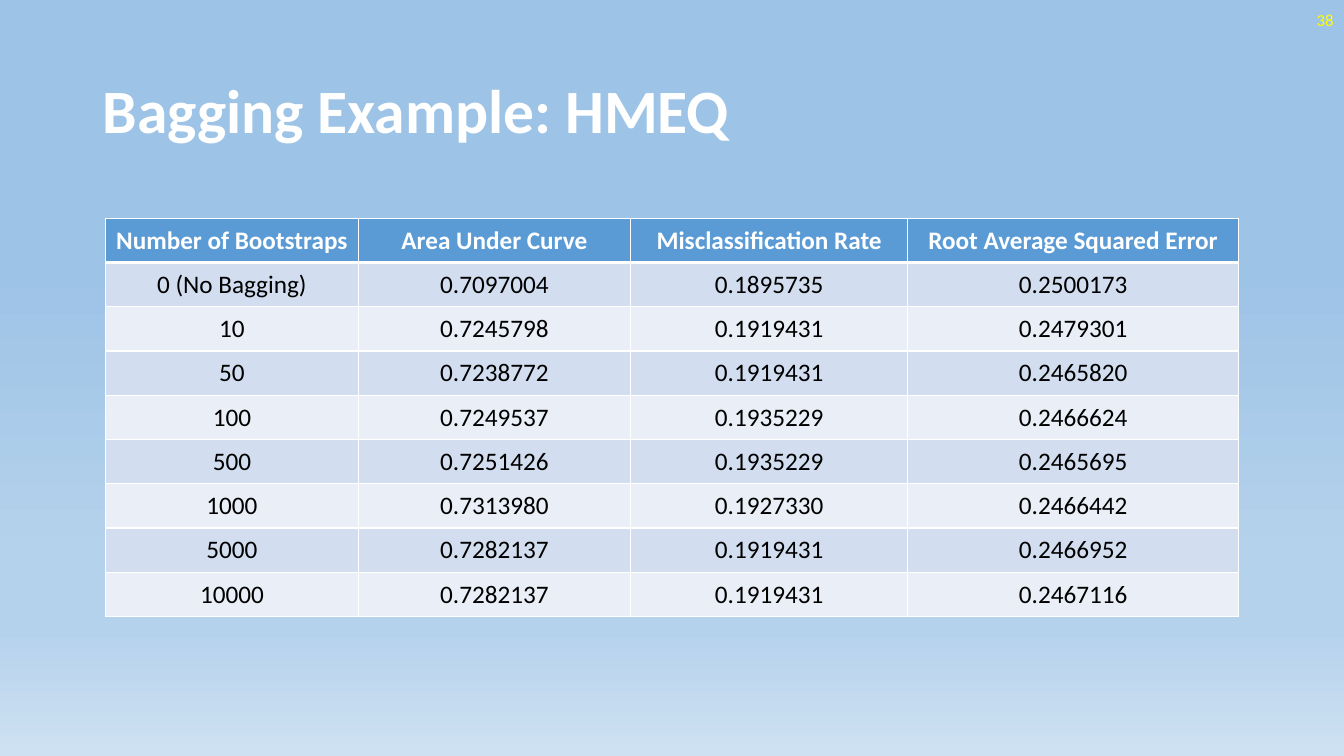
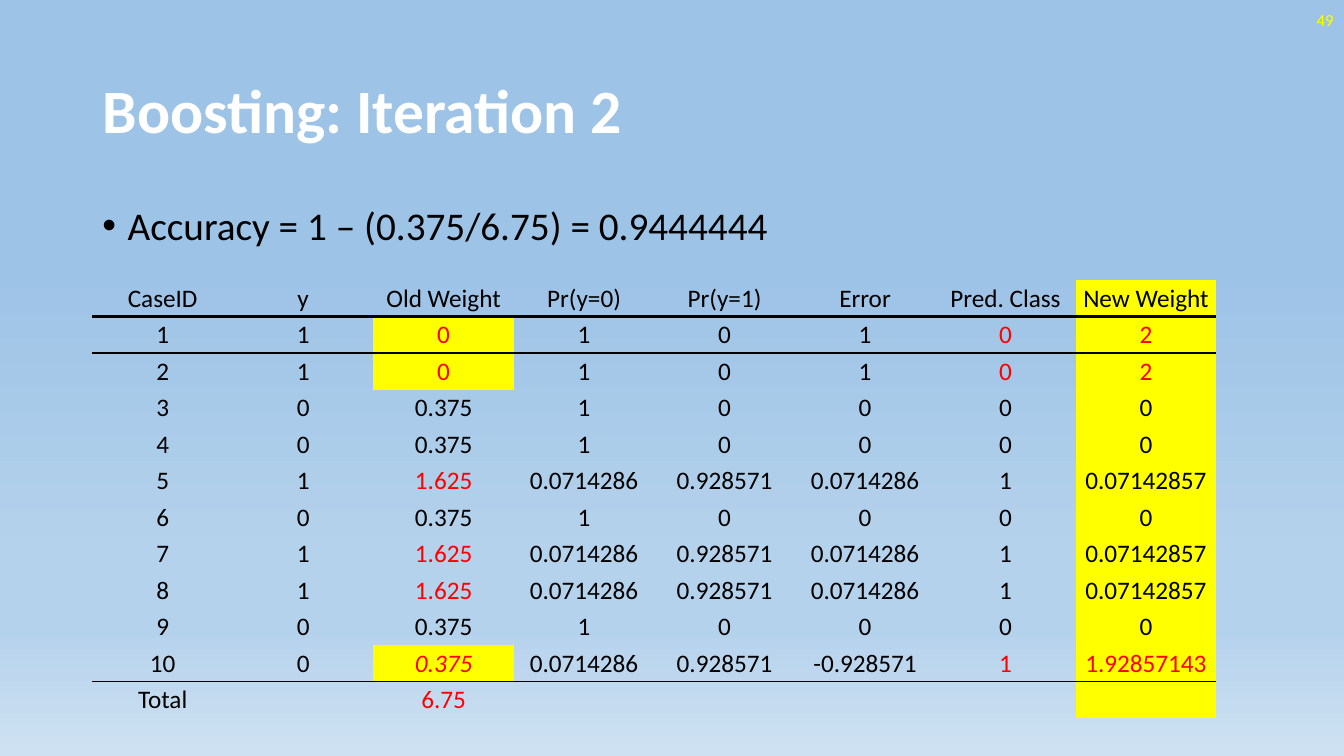
import lxml.etree
import pptx
import pptx.dml.color
import pptx.enum.text
import pptx.oxml.ns
import pptx.util
from dataclasses import dataclass

Cm = pptx.util.Cm
Pt = pptx.util.Pt
ALIGN = pptx.enum.text.PP_ALIGN
ANCHOR = pptx.enum.text.MSO_ANCHOR
qn = pptx.oxml.ns.qn

BAGGING = {
    "number": "38",
    "title": "Bagging Example: HMEQ",
    "rows": [
        ("Number of Bootstraps", "Area Under Curve", "Misclassification Rate", "Root Average Squared Error"),
        ("0 (No Bagging)", "0.7097004", "0.1895735", "0.2500173"),
        ("10", "0.7245798", "0.1919431", "0.2479301"),
        ("50", "0.7238772", "0.1919431", "0.2465820"),
        ("100", "0.7249537", "0.1935229", "0.2466624"),
        ("500", "0.7251426", "0.1935229", "0.2465695"),
        ("1000", "0.7313980", "0.1927330", "0.2466442"),
        ("5000", "0.7282137", "0.1919431", "0.2466952"),
        ("10000", "0.7282137", "0.1919431", "0.2467116"),
    ],
    "widths": (6.37, 6.86, 6.99, 8.33),
    "place": (2.66, 5.5, 10.04),
}

BOOSTING = {
    "number": "49",
    "title": "Boosting: Iteration 2",
    "bullet": "Accuracy = 1 – (0.375/6.75) = 0.9444444",
    "rows": [
        ("CaseID", "y", "Old Weight", "Pr(y=0)", "Pr(y=1)", "Error", "Pred. Class", "New Weight"),
        ("1", "1", "0", "1", "0", "1", "0", "2"),
        ("2", "1", "0", "1", "0", "1", "0", "2"),
        ("3", "0", "0.375", "1", "0", "0", "0", "0"),
        ("4", "0", "0.375", "1", "0", "0", "0", "0"),
        ("5", "1", "1.625", "0.0714286", "0.928571", "0.0714286", "1", "0.07142857"),
        ("6", "0", "0.375", "1", "0", "0", "0", "0"),
        ("7", "1", "1.625", "0.0714286", "0.928571", "0.0714286", "1", "0.07142857"),
        ("8", "1", "1.625", "0.0714286", "0.928571", "0.0714286", "1", "0.07142857"),
        ("9", "0", "0.375", "1", "0", "0", "0", "0"),
        ("10", "0", "0.375", "0.0714286", "0.928571", "-0.928571", "1", "1.92857143"),
        ("Total", "", "6.75", "", "", "", "", ""),
    ],
    "widths": (3.54,) * 8,
    "place": (2.33, 7.06, 11.05),
}

OLD_WEIGHT, PRED_CLASS, NEW_WEIGHT = 2, 6, 7
MISCLASSIFIED = {1, 2, 10}
RED_OLD_WEIGHTS = MISCLASSIFIED | {5, 7, 8, 11}
LAST_CASE, TOTAL = 10, 11


@dataclass(frozen=True)
class Theme:
    font: str = "Calibri"
    white: str = "FFFFFF"
    black: str = "000000"
    red: str = "FF0000"
    yellow: str = "FFFF00"
    header: str = "5B9BD5"
    bands: tuple = ("EAEFF7", "D2DEEF")
    sky: tuple = ((35, "9DC3E6"), (74, "B5D2EC"), (83, "B5D2EC"), (100, "CEE1F2"))
    title: int = 44
    body: int = 28
    cell: int = 18
    number: int = 12
    plain_table: str = "{2D5ABB26-0587-4C30-8999-92F81FD0307C}"


THEME = Theme()


def rgb(color):
    return pptx.dml.color.RGBColor.from_string(color)


def add_node(parent, tag, **attributes):
    return lxml.etree.SubElement(parent, qn(tag), attributes)


def write(tf, text, size, color, align=ALIGN.LEFT, bold=False, italic=False):
    tf.text = text
    p = tf.paragraphs[0]
    p.alignment = align
    for r in p.runs:
        r.font.name = THEME.font
        r.font.size = Pt(size)
        r.font.bold = bold
        r.font.italic = italic
        r.font.color.rgb = rgb(color)
    return p


def paint_background(master):
    fill = master.background.fill
    fill.gradient()
    fill.gradient_angle = 270
    stops = master.element.find(".//" + qn("a:gsLst"))
    for stop in list(stops):
        stops.remove(stop)
    for position, color in THEME.sky:
        stop = add_node(stops, "a:gs", pos=str(position * 1000))
        add_node(stop, "a:srgbClr", val=color)


def place(shape, left, top, width, height):
    shape.left, shape.top = Cm(left), Cm(top)
    shape.width, shape.height = Cm(width), Cm(height)


def add_text(s, left, top, width, height, anchor):
    tf = s.shapes.add_textbox(Cm(left), Cm(top), Cm(width), Cm(height)).text_frame
    tf.word_wrap = True
    tf.vertical_anchor = anchor
    return tf


def add_slide(prs, content):
    s = prs.slides.add_slide(prs.slide_layouts[5])
    title = s.shapes.title
    place(title, 2.33, 1.01, 29.21, 3.68)
    tf = title.text_frame
    tf.auto_size = pptx.enum.text.MSO_AUTO_SIZE.NONE
    tf.vertical_anchor = ANCHOR.MIDDLE
    write(tf, content["title"], THEME.title, THEME.white, bold=True).line_spacing = 0.9
    tf = add_text(s, 26.24, 0, 7.62, 1.02, ANCHOR.MIDDLE)
    write(tf, content["number"], THEME.number, THEME.yellow, ALIGN.RIGHT)
    return s


def add_bullet(s, text):
    tf = add_text(s, 2.33, 5.08, 29.21, 1.7, ANCHOR.TOP)
    p = write(tf, text, THEME.body, THEME.black)
    p.line_spacing = 0.9
    p.space_before = Pt(10)
    pPr = p._p.get_or_add_pPr()
    pPr.set("marL", str(Cm(0.64)))
    pPr.set("indent", str(-Cm(0.64)))
    add_node(pPr, "a:buFont", typeface="Arial")
    add_node(pPr, "a:buChar", char="•")


def set_borders(cell, borders):
    tcPr = cell._tc.get_or_add_tcPr()
    for side in "LRTB":
        if side in borders:
            color, width = borders[side]
            line = add_node(tcPr, "a:ln" + side, w=str(Pt(width)))
            add_node(add_node(line, "a:solidFill"), "a:srgbClr", val=color)


def add_table(s, content, style_cell, margin=None):
    rows, widths = content["rows"], content["widths"]
    left, top, height = content["place"]
    frame = s.shapes.add_table(len(rows), len(widths), Cm(left), Cm(top), Cm(sum(widths)), Cm(height))
    table = frame.table
    table._tbl.tblPr.find(qn("a:tableStyleId")).text = THEME.plain_table
    table.horz_banding = False
    for column, width in zip(table.columns, widths):
        column.width = Cm(width)
    for i, values in enumerate(rows):
        table.rows[i].height = Cm(height / len(rows))
        for j, value in enumerate(values):
            cell = table.cell(i, j)
            fill, borders, font = style_cell(i, j)
            write(cell.text_frame, value, THEME.cell, align=ALIGN.CENTER, **font)
            cell.vertical_anchor = ANCHOR.MIDDLE
            if margin is not None:
                cell.margin_left = cell.margin_right = cell.margin_top = cell.margin_bottom = margin
            set_borders(cell, borders)
            if fill:
                cell.fill.solid()
                cell.fill.fore_color.rgb = rgb(fill)
            else:
                cell.fill.background()


def bagging_cell(i, j):
    borders = {side: (THEME.white, 1) for side in "LRTB"}
    if i == 0:
        borders["B"] = (THEME.white, 3)
        return THEME.header, borders, {"color": THEME.white, "bold": True}
    if i == 1:
        borders["T"] = (THEME.white, 3)
    return THEME.bands[i % 2], borders, {"color": THEME.black}


def boosting_cell(i, j):
    wrong = i in MISCLASSIFIED
    old_weight = j == OLD_WEIGHT
    red = (old_weight and i in RED_OLD_WEIGHTS) or (wrong and j in (PRED_CLASS, NEW_WEIGHT))
    highlighted = j == NEW_WEIGHT or (old_weight and wrong)
    rules = {
        0: {"B": (THEME.black, 2)},
        1: {"T": (THEME.black, 2)},
        LAST_CASE: {"B": (THEME.black, 1)},
        TOTAL: {"T": (THEME.black, 1)},
    }
    font = {
        "color": THEME.red if red else THEME.black,
        "italic": old_weight and i == LAST_CASE,
    }
    return THEME.yellow if highlighted else None, rules.get(i, {}), font


def main():
    prs = pptx.Presentation()
    prs.slide_width, prs.slide_height = Cm(33.87), Cm(19.05)
    paint_background(prs.slide_master)

    s = add_slide(prs, BAGGING)
    add_table(s, BAGGING, bagging_cell)

    s = add_slide(prs, BOOSTING)
    add_bullet(s, BOOSTING["bullet"])
    add_table(s, BOOSTING, boosting_cell, margin=Cm(0.02))

    prs.save("out.pptx")


if __name__ == "__main__":
    main()
